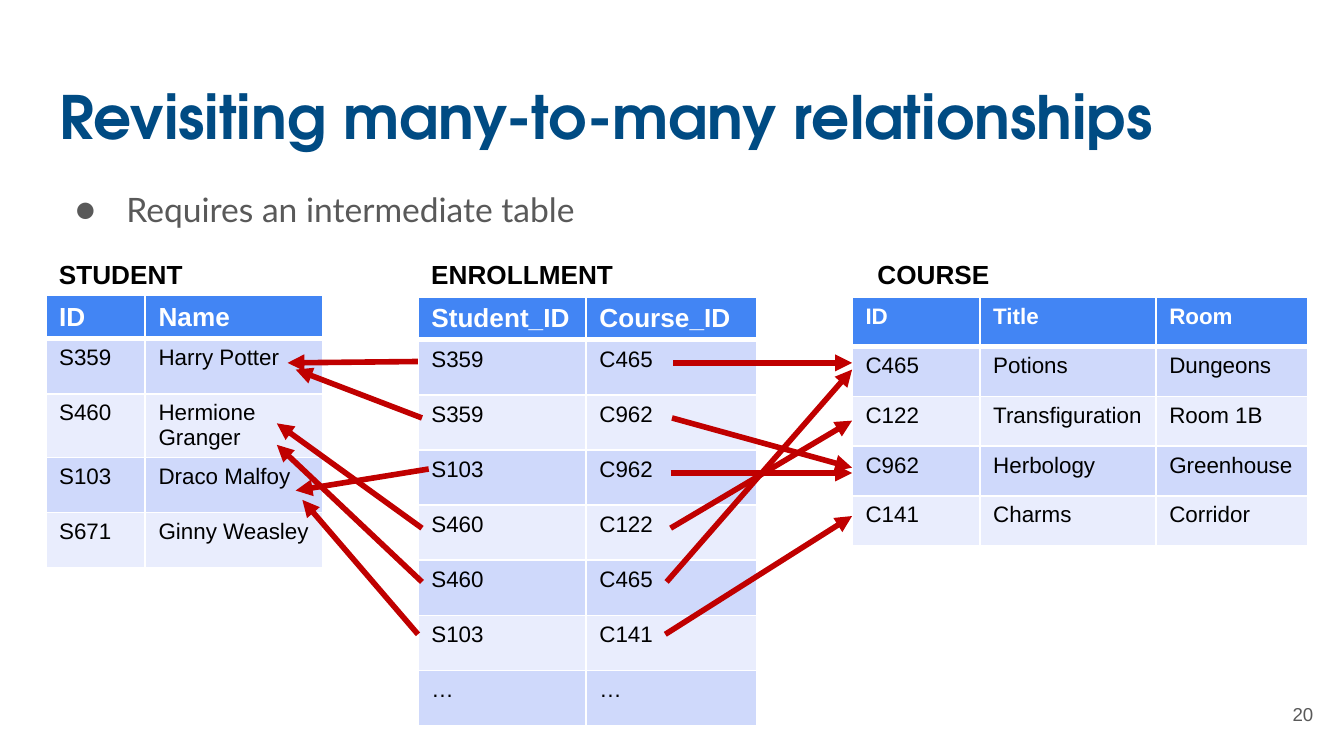
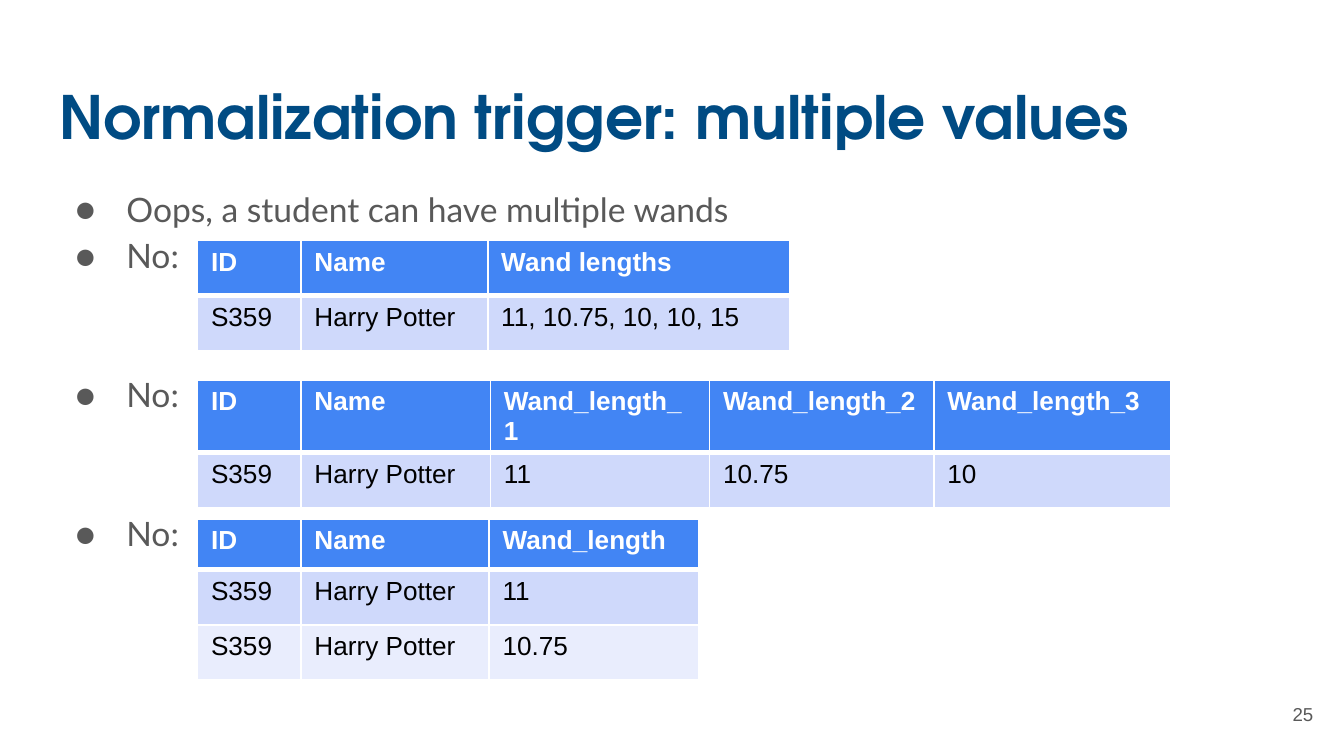
"""Build two slides on many-to-many tables and normalization."""
import pptx
import pptx.dml.color
import pptx.enum.shapes
import pptx.enum.text
import pptx.oxml
import pptx.oxml.ns
import pptx.util

Inches = pptx.util.Inches
Pt = pptx.util.Pt
ALIGN = pptx.enum.text.PP_ALIGN
ANCHOR = pptx.enum.text.MSO_ANCHOR

SLIDE_WIDTH = 10
SLIDE_HEIGHT = SLIDE_WIDTH * 9 / 16
NAVY, GREY, BLACK, WHITE, RED = "004B83", "595959", "000000", "FFFFFF", "C00000"
HEADER_FILL, BANDS = "4285F4", ("CFD9FB", "E9EDFD")
TITLE_FONT, BODY_FONT, TABLE_FONT = "TeX Gyre Adventor", "Lato", "Arial"
TWO_LINES = 49.7

SLIDES = [
    {
        "title": "Revisiting many-to-many relationships",
        "bullets": [("Requires an intermediate table", 0)],
        "number": "20",
        "tables": [
            {
                "at": (6.34, 2.21), "columns": (0.95, 1.31, 1.13),
                "header_height": 0.37, "row_height": 0.37, "sizes": (12, 12),
                "rows": [
                    ("ID", "Title", "Room"),
                    ("C465", "Potions", "Dungeons"),
                    ("C122", "Transfiguration", "Room 1B"),
                    ("C962", "Herbology", "Greenhouse"),
                    ("C141", "Charms", "Corridor"),
                ],
            },
            {
                "at": (0.34, 2.2), "columns": (0.74, 1.32),
                "header_height": 0.32, "row_height": 0.41, "sizes": (14, 12),
                "rows": [
                    ("ID", "Name"),
                    ("S359", "Harry Potter"),
                    ("S460", "Hermione Granger"),
                    ("S103", "Draco Malfoy"),
                    ("S671", "Ginny Weasley"),
                ],
            },
            {
                "at": (3.11, 2.21), "columns": (1.25, 1.27),
                "header_height": 0.32, "row_height": 0.41, "sizes": (14, 12),
                "rows": [
                    ("Student_ID", "Course_ID"),
                    ("S359", "C465"),
                    ("S359", "C962"),
                    ("S103", "C962"),
                    ("S460", "C122"),
                    ("S460", "C465"),
                    ("S103", "C141"),
                    ("…", "…"),
                ],
            },
        ],
        "captions": [("STUDENT", 0.34, 1.21), ("COURSE", 6.43, 1.21), ("ENROLLMENT", 3.11, 1.72)],
        "arrows": [
            (5.01, 2.7, 6.34, 2.7),
            (5, 3.11, 6.34, 3.48),
            (4.99, 3.52, 6.34, 3.52),
            (4.99, 3.93, 6.34, 3.13),
            (4.96, 4.33, 6.34, 2.75),
            (4.95, 4.72, 6.34, 3.84),
            (3.11, 2.69, 2.14, 2.7),
            (3.14, 3.11, 2.2, 2.75),
            (3.19, 3.49, 2.2, 3.65),
            (3.14, 3.93, 2.06, 3.15),
            (3.14, 4.33, 2.06, 3.31),
            (3.11, 4.72, 2.25, 3.72),
        ],
    },
    {
        "title": "Normalization trigger: multiple values",
        "bullets": [
            ("Oops, a student can have multiple wands", 0),
            ("No:", 0),
            ("No:", TWO_LINES),
            ("No:", TWO_LINES),
        ],
        "number": "25",
        "tables": [
            {
                "at": (1.47, 2.83), "columns": (0.77, 1.41, 1.63, 1.67, 1.76),
                "header_height": 0.41, "row_height": 0.41, "sizes": (14, 14),
                "rows": [
                    ("ID", "Name", "Wand_length_1", "Wand_length_2", "Wand_length_3"),
                    ("S359", "Harry Potter", "11", "10.75", "10"),
                ],
            },
            {
                "at": (1.47, 1.79), "columns": (0.77, 1.39, 2.25),
                "header_height": 0.41, "row_height": 0.41, "sizes": (14, 14),
                "rows": [
                    ("ID", "Name", "Wand lengths"),
                    ("S359", "Harry Potter", "11, 10.75, 10, 10, 15"),
                ],
            },
            {
                "at": (1.47, 3.86), "columns": (0.77, 1.4, 1.56),
                "header_height": 0.38, "row_height": 0.41, "sizes": (14, 14),
                "rows": [
                    ("ID", "Name", "Wand_length"),
                    ("S359", "Harry Potter", "11"),
                    ("S359", "Harry Potter", "10.75"),
                ],
            },
        ],
        "captions": [],
        "arrows": [],
    },
]


def rgb(value):
    return pptx.dml.color.RGBColor.from_string(value)


def add_xml(parent, markup):
    namespace = pptx.oxml.ns.nsdecls("a")
    tag, rest = markup.split(" ", 1)
    parent.append(pptx.oxml.parse_xml(f"{tag} {namespace} {rest}"))


def style(paragraph, name, size, color, bold=False, align=ALIGN.LEFT):
    paragraph.alignment = align
    font = paragraph.font
    font.name, font.size, font.bold = name, Pt(size), bold
    font.color.rgb = rgb(color)


def place(part, left, top, width, height):
    part.left, part.top = Inches(left), Inches(top)
    part.width, part.height = Inches(width), Inches(height)


def set_frame(frame, anchor=ANCHOR.TOP, inset=0.1):
    frame.word_wrap = True
    frame.auto_size = pptx.enum.text.MSO_AUTO_SIZE.NONE
    frame.vertical_anchor = anchor
    frame.margin_left = frame.margin_right = Inches(0.1)
    frame.margin_top = frame.margin_bottom = Inches(inset)


def add_title(slide, text):
    title = slide.shapes.title
    place(title, 0.34, 0.49, 9.32, 0.63)
    set_frame(title.text_frame)
    title.text_frame.text = text
    style(title.text_frame.paragraphs[0], TITLE_FONT, 32, NAVY, True)


def add_bullets(slide, bullets):
    body = slide.placeholders[1]
    place(body, 0.34, 1.26, 9.32, 3.74)
    frame = body.text_frame
    set_frame(frame)
    frame.text = "\n".join(text for text, _ in bullets)
    for paragraph, (_, gap) in zip(frame.paragraphs, bullets):
        paragraph.line_spacing = 1.15
        paragraph.space_before = Pt(gap)
        paragraph.space_after = Pt(0)
        properties = paragraph._p.get_or_add_pPr()
        properties.set("marL", str(Inches(0.5)))
        properties.set("indent", str(Inches(-0.38)))
        add_xml(properties, f'<a:buClr ><a:srgbClr val="{GREY}"/></a:buClr>')
        add_xml(properties, f'<a:buFont typeface="{BODY_FONT}"/>')
        add_xml(properties, '<a:buChar char="●"/>')
        style(paragraph, BODY_FONT, 18, GREY)


def add_label(slide, text, box, size, color, bold=False, align=ALIGN.LEFT,
              anchor=ANCHOR.TOP, inset=0.05):
    label = slide.shapes.add_textbox(*map(Inches, box))
    set_frame(label.text_frame, anchor, inset)
    label.text_frame.text = text
    style(label.text_frame.paragraphs[0], TABLE_FONT, size, color, bold, align)


def set_borders(cell, top, bottom):
    properties = cell._tc.get_or_add_tcPr()
    for side, width in (("L", 1), ("R", 1), ("T", top), ("B", bottom)):
        add_xml(properties, f'<a:ln{side} w="{Pt(width)}"><a:solidFill><a:srgbClr val="{WHITE}"/>'
                            f'</a:solidFill></a:ln{side}>')


def add_grid(slide, at, columns, header_height, row_height, sizes, rows):
    heights = [header_height] + [row_height] * (len(rows) - 1)
    box = (*at, sum(columns), sum(heights))
    table = slide.shapes.add_table(len(rows), len(columns), *map(Inches, box)).table
    for column, width in zip(table.columns, columns):
        column.width = Inches(width)
    for index, (values, height) in enumerate(zip(rows, heights)):
        table.rows[index].height = Inches(height)
        header = index == 0
        for cell, value in zip(table.rows[index].cells, values):
            set_borders(cell, 3 if index == 1 else 1, 3 if header else 1)
            cell.fill.solid()
            cell.fill.fore_color.rgb = rgb(HEADER_FILL if header else BANDS[(index - 1) % 2])
            cell.text = value
            style(cell.text_frame.paragraphs[0], TABLE_FONT, sizes[0 if header else 1],
                  WHITE if header else BLACK, header)


def add_arrow(slide, ends):
    straight = pptx.enum.shapes.MSO_CONNECTOR.STRAIGHT
    arrow = slide.shapes.add_connector(straight, *map(Inches, ends))
    arrow.line.color.rgb = rgb(RED)
    arrow.line.width = Pt(3)
    add_xml(arrow.line._get_or_add_ln(), '<a:tailEnd type="triangle"/>')
    add_xml(arrow._element.spPr, "<a:effectLst />")


def main():
    deck = pptx.Presentation()
    deck.slide_width, deck.slide_height = Inches(SLIDE_WIDTH), Inches(SLIDE_HEIGHT)
    for content in SLIDES:
        slide = deck.slides.add_slide(deck.slide_layouts[1])
        add_title(slide, content["title"])
        add_bullets(slide, content["bullets"])
        add_label(slide, content["number"], (9.27, 5.1, 0.6, 0.43), 10, GREY,
                  align=ALIGN.RIGHT, anchor=ANCHOR.MIDDLE, inset=0.1)
        for grid in content["tables"]:
            add_grid(slide, **grid)
        for text, left, width in content["captions"]:
            add_label(slide, text, (left, 1.87, width, 0.34), 14, BLACK, True)
        for ends in content["arrows"]:
            add_arrow(slide, ends)
    deck.save("out.pptx")


if __name__ == "__main__":
    main()
